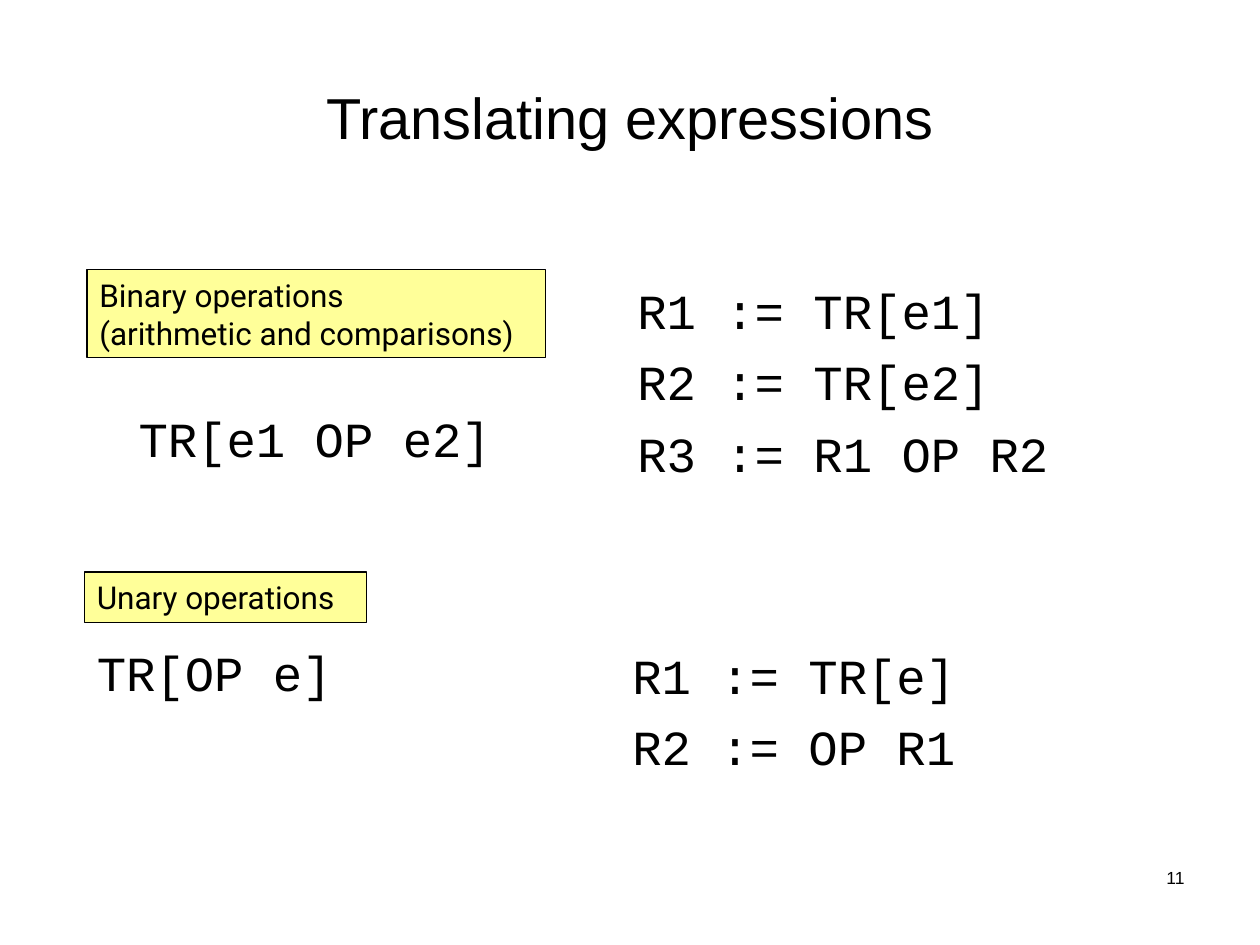
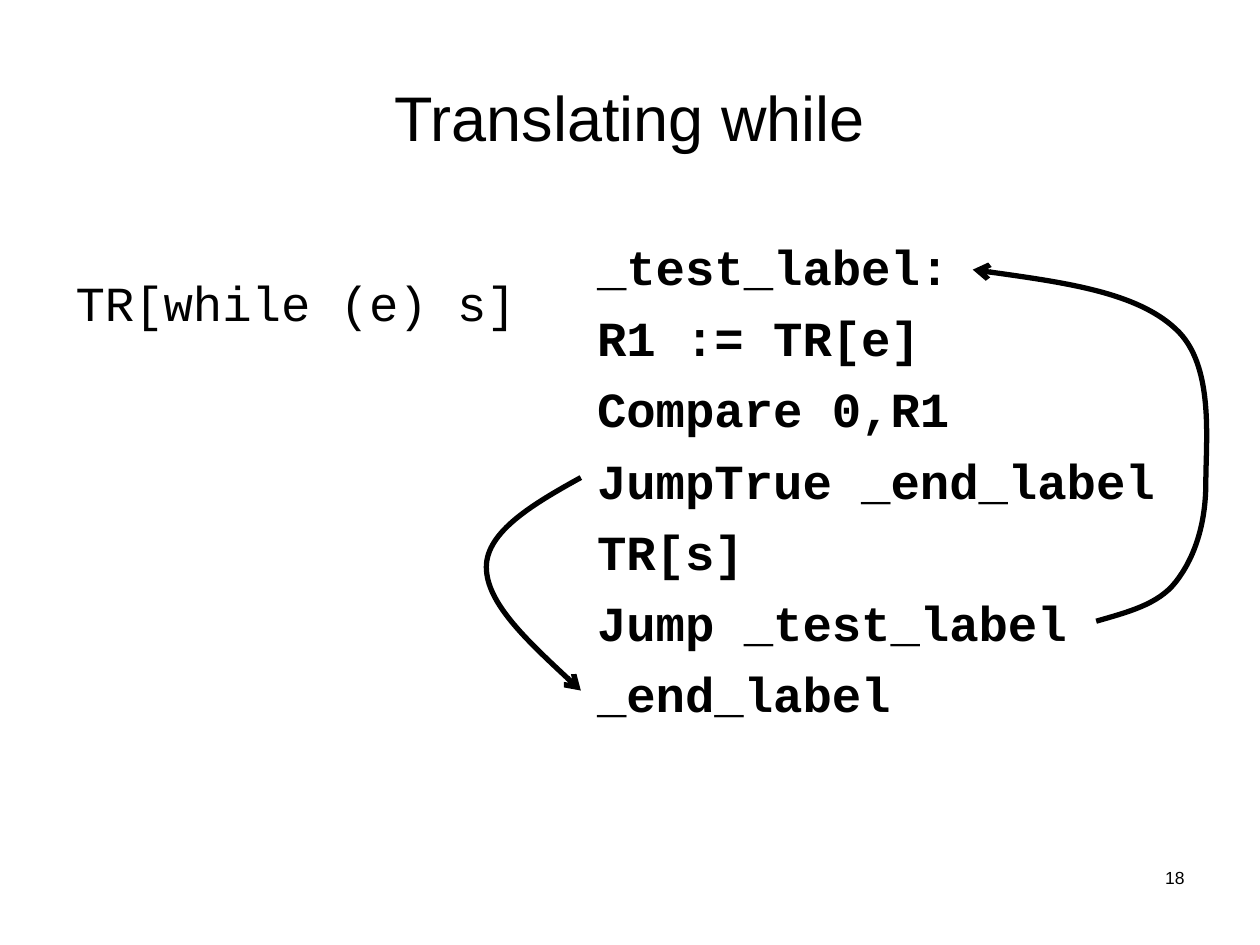
from typing import NamedTuple

from lxml import etree
from pptx import Presentation
from pptx.dml.color import RGBColor
from pptx.enum.shapes import MSO_SHAPE
from pptx.enum.text import MSO_ANCHOR, MSO_AUTO_SIZE, PP_ALIGN
from pptx.oxml.ns import qn
from pptx.util import Inches, Pt

BLACK = RGBColor(0x00, 0x00, 0x00)
LABEL_YELLOW = RGBColor(0xFF, 0xFF, 0x99)

TITLE_FONT = "Arial"
CODE_FONT = "Courier New"
LABEL_FONT = "Roboto"

LEFT, CENTER, RIGHT = PP_ALIGN.LEFT, PP_ALIGN.CENTER, PP_ALIGN.RIGHT
TOP, MIDDLE = MSO_ANCHOR.TOP, MSO_ANCHOR.MIDDLE
NO_AUTOFIT = MSO_AUTO_SIZE.NONE
RECTANGLE = MSO_SHAPE.RECTANGLE
TITLE_AND_CONTENT = 1

HANGING_INDENT = Inches(0.38)
Point = tuple[float, float]


class Box(NamedTuple):
    left: float
    top: float
    width: float
    height: float

    def emu(self) -> list[int]:
        return [Inches(length) for length in self]


class Code(NamedTuple):
    box: Box
    lines: list[str]
    bold: bool = False
    line_spacing: float | None = None


class Label(NamedTuple):
    box: Box
    lines: list[str]


class JumpArrow(NamedTuple):
    """A start point and cubic segments, each two control points and an end."""
    start: Point
    segments: list[tuple[Point, Point, Point]]


class Page(NamedTuple):
    title: str
    title_size: int
    number: str
    source: Code
    translations: list[Code]
    labels: list[Label]
    jumps: list[JumpArrow]


TITLE_BOX = Box(0.5, 0.3, 9, 1.25)
NUMBER_BOX = Box(7.17, 6.83, 2.33, 0.5)

PAGES = [
    Page(
        "Translating expressions", 33, "11",
        source=Code(Box(1, 3.19, 3.1, 0.75), ["TR[e1 OP e2]"]),
        translations=[
            Code(Box(4.96, 2.18, 3.58, 1.77),
                 ["R1 := TR[e1]", "R2 := TR[e2]", "R3 := R1 OP R2"]),
            Code(Box(0.67, 5.05, 3.42, 0.52), ["TR[OP e]"]),
            Code(Box(4.92, 5.07, 3.98, 1.08), ["R1 := TR[e]", "R2 := OP R1"]),
        ],
        labels=[
            Label(Box(0.69, 2.14, 3.64, 0.7),
                  ["Binary operations", "(arithmetic and comparisons)"]),
            Label(Box(0.67, 4.54, 2.24, 0.4), ["Unary operations"]),
        ],
        jumps=[],
    ),
    Page(
        "Translating while", 36, "18",
        source=Code(Box(0.5, 2.2, 3.87, 0.95), ["TR[while (e) s]"], line_spacing=0.8),
        translations=[
            Code(Box(4.64, 1.83, 4.89, 4.75),
                 ["_test_label:", "R1 := TR[e]", "Compare 0,R1", "JumpTrue _end_label",
                  "TR[s]", "Jump _test_label", "_end_label"], bold=True),
        ],
        labels=[],
        jumps=[
            JumpArrow((4.61, 3.79), [
                ((4.23, 4), (3.86, 4.22), (3.86, 4.5)),
                ((3.86, 4.78), (4.23, 5.13), (4.61, 5.48)),
            ]),
            JumpArrow((8.7, 4.93), [
                ((8.94, 4.86), (9.19, 4.8), (9.33, 4.62)),
                ((9.48, 4.43), (9.57, 4.16), (9.57, 3.83)),
                ((9.57, 3.49), (9.64, 2.89), (9.33, 2.61)),
                ((9.02, 2.32), (8.37, 2.23), (7.72, 2.14)),
            ]),
        ],
    ),
]


def place(shape, box: Box) -> None:
    shape.left, shape.top, shape.width, shape.height = box.emu()


def prepare_frame(shape, anchor=TOP):
    frame = shape.text_frame
    frame.word_wrap = True
    frame.auto_size = NO_AUTOFIT
    frame.vertical_anchor = anchor
    return frame


def add_run(paragraph, text: str, font: str, size: int, bold: bool = False) -> None:
    run = paragraph.add_run()
    run.text = text
    run.font.name = font
    run.font.size = Pt(size)
    run.font.bold = bold
    run.font.color.rgb = BLACK


def write_line(shape, text: str, size: int, align, anchor=TOP) -> None:
    paragraph = prepare_frame(shape, anchor).paragraphs[0]
    paragraph.alignment = align
    add_run(paragraph, text, TITLE_FONT, size)


def write_code(shape, code: Code) -> None:
    """One paragraph per line of code, hanging and without a bullet."""
    frame = prepare_frame(shape)
    for index, line in enumerate(code.lines):
        paragraph = frame.add_paragraph() if index else frame.paragraphs[0]
        paragraph.alignment = LEFT
        paragraph.space_before = Pt(7)
        if code.line_spacing:
            paragraph.line_spacing = code.line_spacing
        properties = paragraph.element.get_or_add_pPr() if hasattr(paragraph, "element") \
            else paragraph._p.get_or_add_pPr()
        properties.set("marL", str(HANGING_INDENT))
        properties.set("indent", str(-HANGING_INDENT))
        etree.SubElement(properties, qn("a:buNone"))
        add_run(paragraph, line, CODE_FONT, 28, code.bold)


def add_label(slide, label: Label) -> None:
    shape = slide.shapes.add_shape(RECTANGLE, *label.box.emu())
    shape.shadow.inherit = False
    shape.fill.solid()
    shape.fill.fore_color.rgb = LABEL_YELLOW
    shape.line.color.rgb = BLACK
    shape.line.width = Pt(0.75)
    paragraph = prepare_frame(shape).paragraphs[0]
    paragraph.alignment = LEFT
    for index, line in enumerate(label.lines):
        if index:
            paragraph.add_line_break()
        add_run(paragraph, line, LABEL_FONT, 18)


def add_jump_arrow(slide, jump: JumpArrow) -> None:
    """Lay an outline through the segment ends, then bend each line into a curve."""
    builder = slide.shapes.build_freeform(*map(Inches, jump.start))
    ends = [tuple(map(Inches, segment[-1])) for segment in jump.segments]
    builder.add_line_segments(ends, close=False)
    shape = builder.convert_to_shape()
    shape.shadow.inherit = False
    shape.fill.background()
    shape.line.color.rgb = BLACK
    shape.line.width = Pt(3)

    straight_lines = list(shape.element.iter(qn("a:lnTo")))
    for straight, segment in zip(straight_lines, jump.segments):
        curve = etree.Element(qn("a:cubicBezTo"))
        for x, y in segment:
            etree.SubElement(curve, qn("a:pt"), x=str(Inches(x) - shape.left),
                             y=str(Inches(y) - shape.top))
        straight.getparent().replace(straight, curve)
    outline = shape.element.spPr.find(qn("a:ln"))
    etree.SubElement(outline, qn("a:tailEnd"), type="arrow")


def add_page(presentation, page: Page) -> None:
    slide = presentation.slides.add_slide(presentation.slide_layouts[TITLE_AND_CONTENT])
    title, body = slide.shapes.title, slide.placeholders[1]
    place(title, TITLE_BOX)
    write_line(title, page.title, page.title_size, CENTER, MIDDLE)
    place(body, page.source.box)
    write_code(body, page.source)

    number = slide.shapes.add_textbox(*NUMBER_BOX.emu())
    write_line(number, page.number, 10, RIGHT)
    for code in page.translations:
        write_code(slide.shapes.add_textbox(*code.box.emu()), code)
    for label in page.labels:
        add_label(slide, label)
    for jump in page.jumps:
        add_jump_arrow(slide, jump)


def main() -> None:
    presentation = Presentation()
    presentation.slide_width = Inches(10)
    presentation.slide_height = Inches(7.5)
    for page in PAGES:
        add_page(presentation, page)
    presentation.save("out.pptx")


if __name__ == "__main__":
    main()
